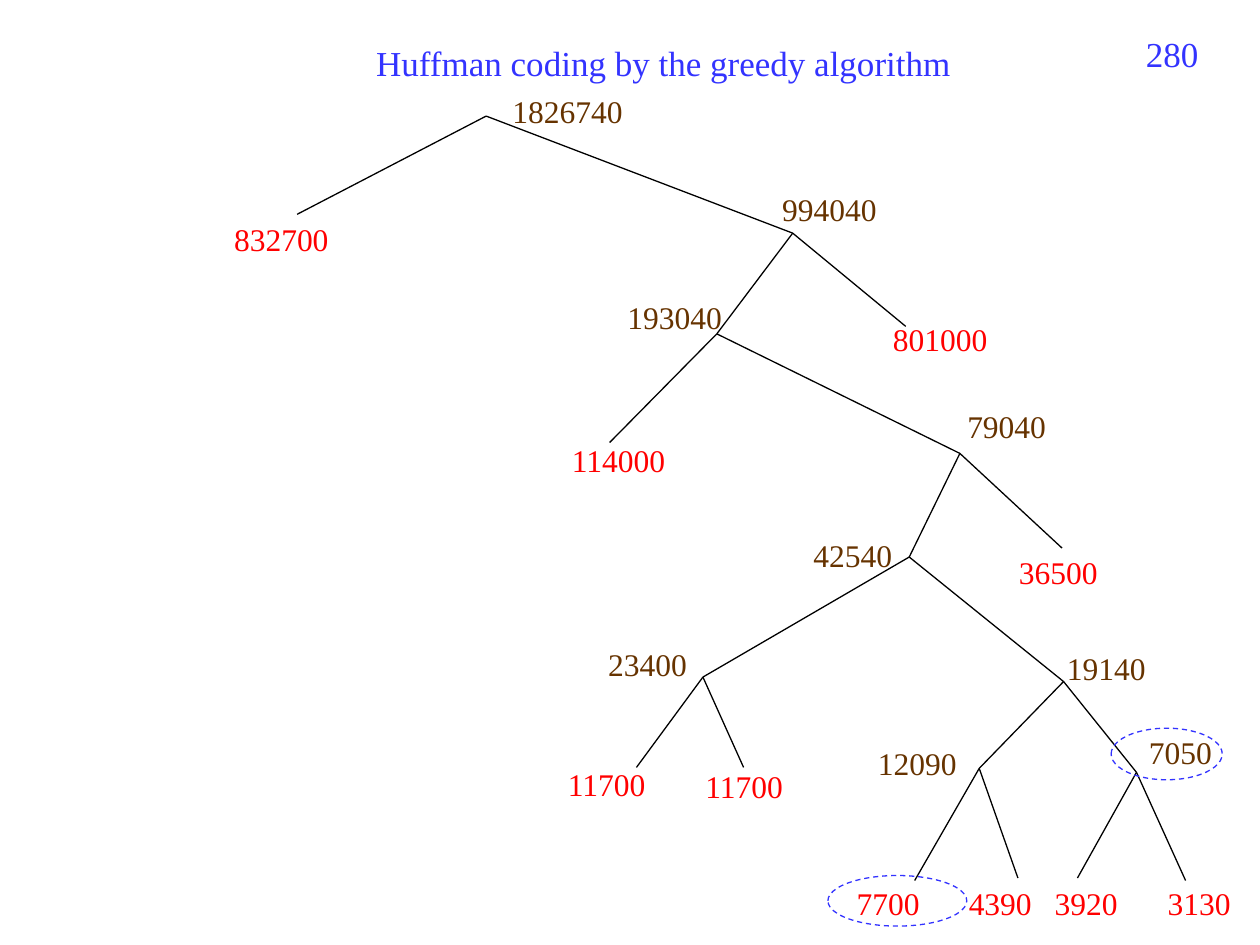
from collections import namedtuple

from lxml.etree import SubElement
from pptx import Presentation
from pptx.dml.color import RGBColor
from pptx.enum.dml import MSO_LINE
from pptx.enum.shapes import MSO_CONNECTOR, MSO_SHAPE
from pptx.enum.text import MSO_ANCHOR, PP_ALIGN
from pptx.oxml.ns import qn
from pptx.util import Cm, Pt

COLORS = {"heading": "3333FF", "inner": "663300", "leaf": "FF0000", "edge": "000000"}
FONT = "Times New Roman"
LABEL_HEIGHT = 1.02

Box = namedtuple("Box", "left top width height")
Node = namedtuple("Node", "weight x y label_x label_y parent")

NODES = {
    "root": Node("1826740", 5.8, 0.64, 6.08, 0.03, None),
    "0": Node("832700", 1.99, 2.62, 0.47, 2.62, "root"),
    "1": Node("994040", 11.98, 3, 11.52, 2.01, "root"),
    "10": Node("193040", 10.45, 5.03, 8.4, 4.19, "1"),
    "11": Node("801000", 14.26, 4.88, 13.75, 4.62, "1"),
    "100": Node("114000", 8.29, 7.22, 7.28, 7.06, "10"),
    "101": Node("79040", 15.35, 7.44, 15.25, 6.38, "10"),
    "1010": Node("42540", 14.33, 9.53, 12.15, 8.99, "101"),
    "1011": Node("36500", 17.41, 9.35, 16.29, 9.32, "101"),
    "10100": Node("23400", 10.17, 11.95, 8.01, 11.18, "1010"),
    "10101": Node("19140", 17.44, 12.04, 17.26, 11.25, "1010"),
    "101000": Node("11700", 8.83, 13.77, 7.2, 13.59, "10100"),
    "101001": Node("11700", 10.99, 13.77, 9.97, 13.64, "10100"),
    "101010": Node("12090", 15.74, 13.79, 13.45, 13.18, "10101"),
    "101011": Node("7050", 18.91, 13.87, 18.91, 12.96, "10101"),
    "1010100": Node("7700", 14.44, 16.05, 13.02, 16, "101010"),
    "1010101": Node("4390", 16.52, 16, 15.28, 16, "101010"),
    "1010110": Node("3920", 17.72, 16, 17.01, 16, "101011"),
    "1010111": Node("3130", 19.9, 16.05, 19.29, 16, "101011"),
}
HIGHLIGHTS = [Box(12.69, 15.95, 2.8, 1.02), Box(18.4, 12.98, 2.24, 1.04)]


def color(name):
    """Return the named palette colour."""
    return RGBColor.from_string(COLORS[name])


def add_text(slide, text, box, size=18, fill="inner", align=PP_ALIGN.LEFT, wrap=True):
    """Write one line of text in the given box."""
    shape = slide.shapes.add_textbox(*map(Cm, box))
    frame = shape.text_frame
    frame.word_wrap = wrap
    frame.vertical_anchor = MSO_ANCHOR.TOP
    paragraph = frame.paragraphs[0]
    paragraph.alignment = align
    run = paragraph.add_run()
    run.text = text
    run.font.name = FONT
    run.font.size = Pt(size)
    run.font.color.rgb = color(fill)


def add_edge(slide, box, parent, child):
    """Draw the line between two nodes of the tree in the box."""
    connector = slide.shapes.add_connector(
        MSO_CONNECTOR.STRAIGHT,
        Cm(box.left + parent.x), Cm(box.top + parent.y),
        Cm(box.left + child.x), Cm(box.top + child.y),
    )
    connector.line.color.rgb = color("edge")
    connector.line.width = Pt(0.75)
    SubElement(connector._element.spPr, qn("a:effectLst"))


def add_highlight(slide, box, area):
    """Ring an area of the box with a dashed ellipse."""
    shape = slide.shapes.add_shape(
        MSO_SHAPE.OVAL, Cm(box.left + area.left), Cm(box.top + area.top),
        Cm(area.width), Cm(area.height),
    )
    shape.shadow.inherit = False
    shape.fill.background()
    shape.line.color.rgb = color("heading")
    shape.line.width = Pt(0.75)
    shape.line.dash_style = MSO_LINE.DASH


def add_header(slide, box):
    """Place the title and the page number in the box."""
    title = Box(box.left + 7.09, box.top + 0.18, 12.75, 1.12)
    number = Box(box.left + box.width - 5.92, box.top, 5.92, box.height)
    add_text(slide, "Huffman coding by the greedy algorithm ", title,
             size=20, fill="heading", align=PP_ALIGN.CENTER)
    add_text(slide, "280", number, size=20, fill="heading", align=PP_ALIGN.RIGHT)


def add_tree(slide, box):
    """Draw the Huffman tree with its weights and highlights in the box."""
    parents = {node.parent for node in NODES.values()}
    for node in NODES.values():
        if node.parent:
            add_edge(slide, box, NODES[node.parent], node)
    for code, node in NODES.items():
        label = Box(box.left + node.label_x, box.top + node.label_y,
                    0.51 + 0.32 * len(node.weight), LABEL_HEIGHT)
        add_text(slide, node.weight, label,
                 fill="inner" if code in parents else "leaf", wrap=False)
    for area in HIGHLIGHTS:
        add_highlight(slide, box, area)


def main():
    """Build the slide and save the presentation."""
    presentation = Presentation()
    presentation.slide_width = Cm(25.4)
    presentation.slide_height = Cm(19.05)
    slide = presentation.slides.add_slide(presentation.slide_layouts[6])
    add_header(slide, Box(0, 0.53, 24.41, 1.32))
    add_tree(slide, Box(4, 1.7, 21.1, 17.05))
    presentation.save("out.pptx")


if __name__ == "__main__":
    main()
